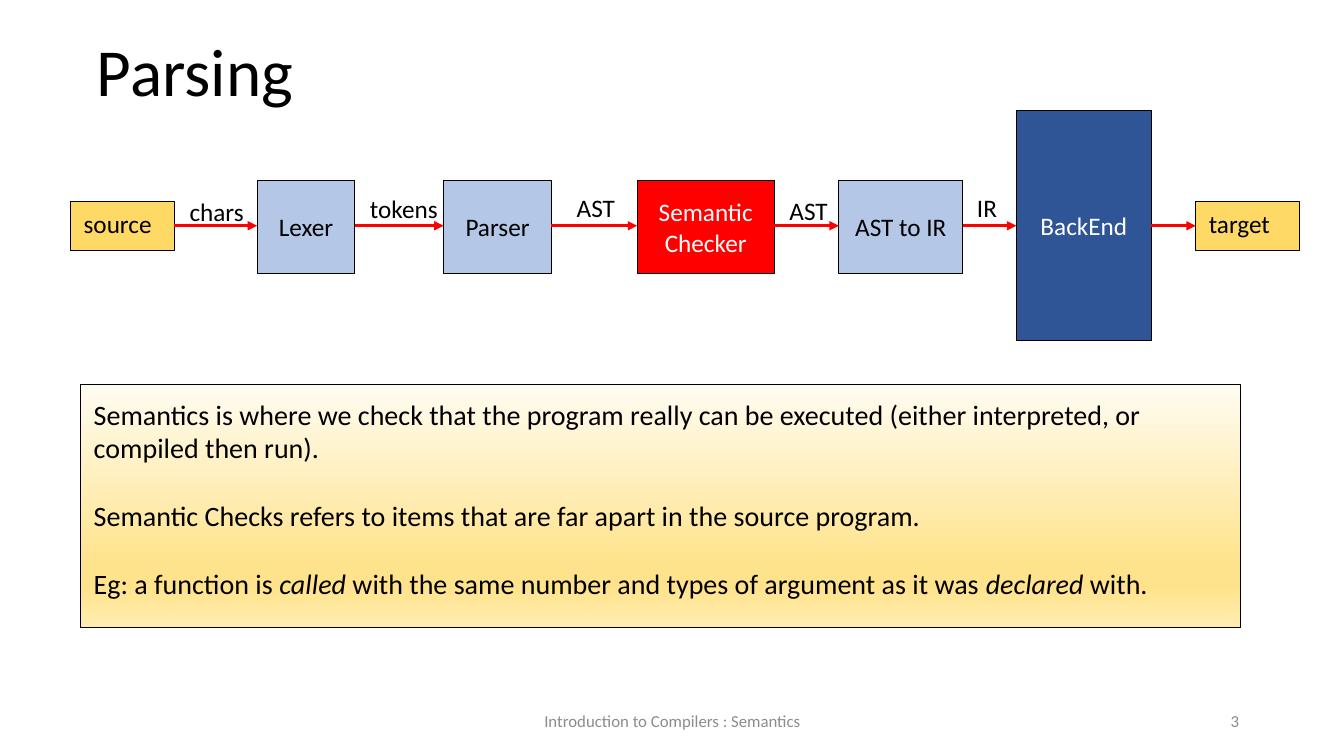
from lxml.etree import SubElement
from pptx import Presentation
from pptx.dml.color import RGBColor
from pptx.enum.shapes import MSO_CONNECTOR, MSO_SHAPE
from pptx.enum.text import MSO_ANCHOR, PP_ALIGN
from pptx.oxml.ns import qn
from pptx.util import Pt

PX = 9144  # 100 px to the inch
FONT = "Calibri"
COLORS = {
    "ink": "000000", "paper": "FFFFFF", "muted": "8C8C8C",
    "file": "FFD966", "phase": "B4C7E7", "current": "FF0000",
    "backend": "2F5597", "arrow": "FF0000",
}
GRADIENT = [(0, "FFFCF2"), (74, "FFE38C"), (83, "FFE38C"), (100, "FFECB2")]

# text, kind, left, width
STAGES = [
    ("source", "file", 70, 103),
    ("Lexer", "phase", 255, 97),
    ("Parser", "phase", 440, 107),
    ("Semantic\nChecker", "current", 632, 136),
    ("AST to IR", "phase", 832, 123),
    ("BackEnd", "backend", 1008, 134),
    ("target", "file", 1186, 103),
]
# kind: top, height, text color
STAGE_STYLES = {
    "file": (200, 49, "ink"),
    "phase": (179, 92, "ink"),
    "current": (179, 92, "paper"),
    "backend": (110, 228, "paper"),
}
# text, left, top, width of what flows along each arrow
FLOWS = [
    ("chars", 175, 188, 89),
    ("tokens", 354, 185, 103),
    ("AST", 559, 184, 73),
    ("AST", 770, 187, 82),
    ("IR", 956, 184, 82),
]
ARROW_Y = 224
# Paragraphs are lists of (text, italic) runs
EXPLANATION = [
    [("Semantics is where we check that the program really can be executed "
      "(either interpreted, or compiled then run).", False)],
    [("Semantic Checks refers to items that are far apart in the source program.", False)],
    [("Eg: a function is ", False), ("called", True),
     (" with the same number and types of argument as it was ", False),
     ("declared", True), (" with.", False)],
]


def rgb(name):
    return RGBColor.from_string(COLORS[name])


def write(shape, content, size=18, color="ink", align=PP_ALIGN.LEFT,
          anchor=MSO_ANCHOR.TOP, inset_y=7, gap=0, spacing=None):
    """Fill a shape with a string, or with paragraphs of (text, italic) runs."""
    if isinstance(content, str):
        content = [[(line, False)] for line in content.split("\n")]
    frame = shape.text_frame
    frame.word_wrap = True
    frame.vertical_anchor = anchor
    frame.margin_left = frame.margin_right = 13 * PX
    frame.margin_top = frame.margin_bottom = inset_y * PX
    for index, runs in enumerate(content):
        paragraph = frame.add_paragraph() if index else frame.paragraphs[0]
        paragraph.alignment = align
        if index and gap:
            paragraph.space_before = Pt(gap)
        if spacing:
            paragraph.line_spacing = spacing
        for text, italic in runs:
            run = paragraph.add_run()
            run.text = text
            run.font.name = FONT
            run.font.size = Pt(size)
            run.font.italic = italic
            run.font.color.rgb = rgb(color)


def add_label(slide, text, left, top, width, height, **text_format):
    label = slide.shapes.add_textbox(left * PX, top * PX, width * PX, height * PX)
    write(label, text, **text_format)


def add_box(slide, left, top, width, height):
    box = slide.shapes.add_shape(MSO_SHAPE.RECTANGLE, left * PX, top * PX,
                                 width * PX, height * PX)
    box.shadow.inherit = False
    box.line.color.rgb = rgb("ink")
    box.line.width = Pt(0.75)
    return box


def add_arrow(slide, start, end):
    arrow = slide.shapes.add_connector(MSO_CONNECTOR.STRAIGHT, start * PX, ARROW_Y * PX,
                                       end * PX, ARROW_Y * PX)
    arrow.line.color.rgb = rgb("arrow")
    arrow.line.width = Pt(2.25)
    SubElement(arrow.line._get_or_add_ln(), qn("a:tailEnd"), type="triangle")
    SubElement(arrow._element.spPr, qn("a:effectLst"))


def fill_gradient(shape):
    """Blend the GRADIENT stops from top to bottom."""
    shape.fill.gradient()
    shape.fill.gradient_angle = 270
    stops = shape._element.spPr.find(".//" + qn("a:gsLst"))
    for stop in list(stops):
        stops.remove(stop)
    for percent, color in GRADIENT:
        stop = SubElement(stops, qn("a:gs"), pos=str(percent * 1000))
        SubElement(stop, qn("a:srgbClr"), val=color)


def main():
    deck = Presentation()
    deck.slide_width, deck.slide_height = 1333 * PX, 750 * PX
    slide = deck.slides.add_slide(deck.slide_layouts[6])

    add_label(slide, "Parsing", 83, 40, 495, 69, size=48,
              anchor=MSO_ANCHOR.MIDDLE, spacing=0.9)

    explanation = add_box(slide, 80, 381, 1150, 242)
    fill_gradient(explanation)
    write(explanation, EXPLANATION, size=20, inset_y=13, gap=24.4)

    for text, kind, left, width in STAGES:
        top, height, color = STAGE_STYLES[kind]
        stage = add_box(slide, left, top, width, height)
        stage.fill.solid()
        stage.fill.fore_color.rgb = rgb(kind)
        if kind == "file":
            write(stage, text, color=color)
        else:
            write(stage, text, color=color, align=PP_ALIGN.CENTER,
                  anchor=MSO_ANCHOR.MIDDLE)

    for (_, _, left, width), (_, _, next_left, _) in zip(STAGES, STAGES[1:]):
        add_arrow(slide, left + width, next_left)
    for text, left, top, width in FLOWS:
        add_label(slide, text, left, top, width, 40)

    footer = {"size": 12, "color": "muted", "anchor": MSO_ANCHOR.MIDDLE}
    add_label(slide, "Introduction to Compilers : Semantics", 442, 695, 450, 40,
              align=PP_ALIGN.CENTER, **footer)
    add_label(slide, "3", 942, 695, 300, 40, align=PP_ALIGN.RIGHT, **footer)

    deck.save("out.pptx")


if __name__ == "__main__":
    main()
